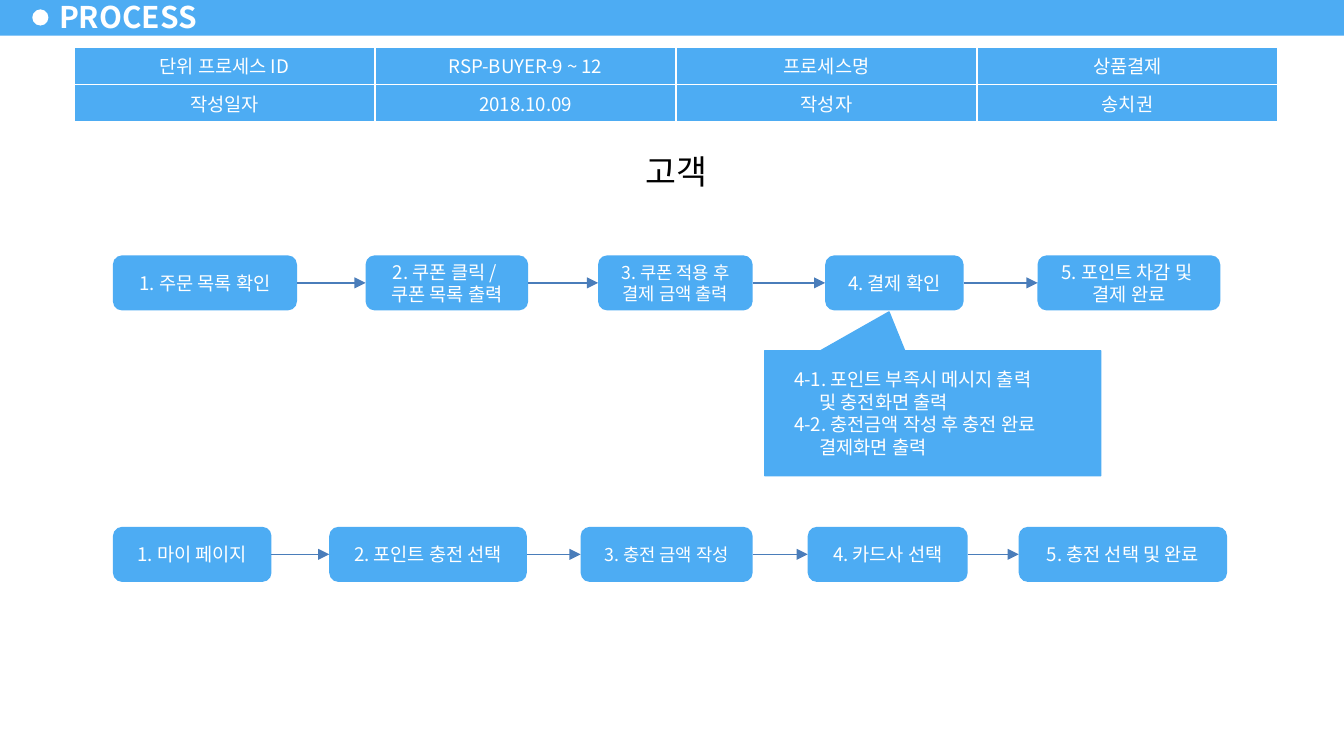
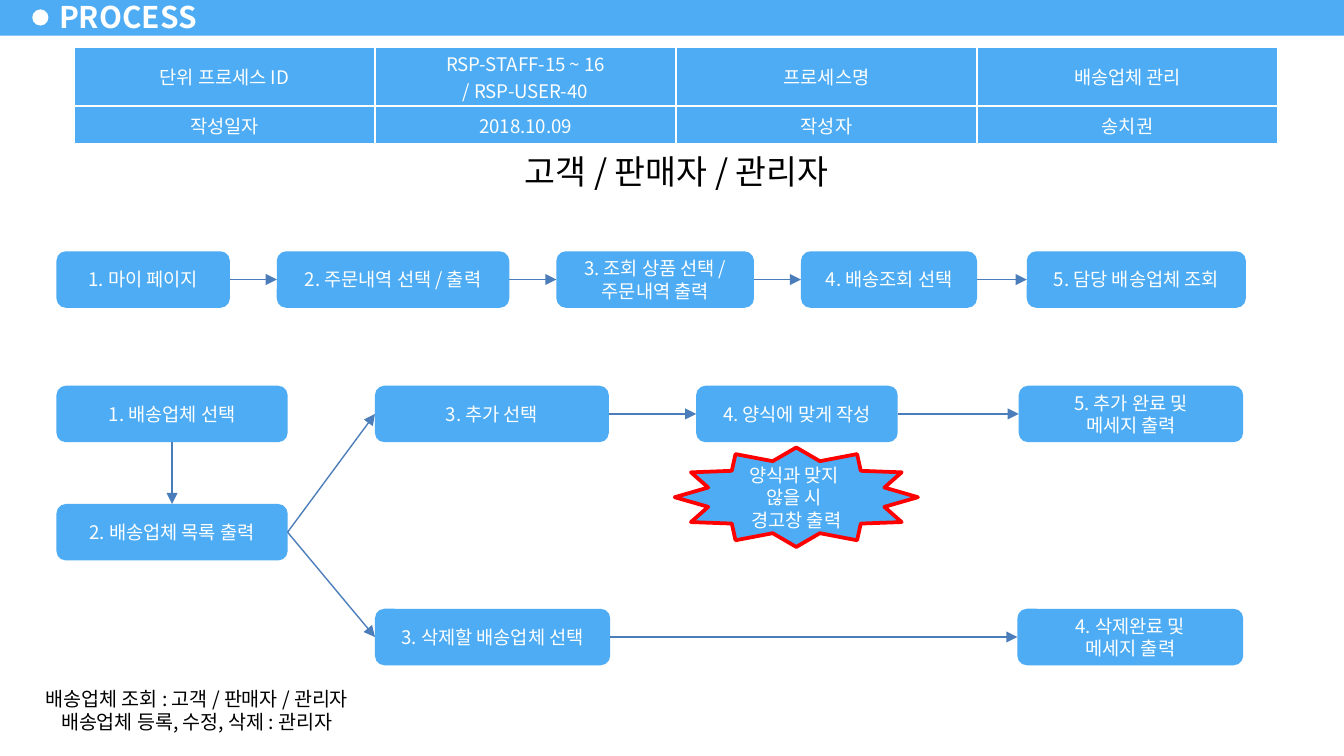
from lxml import etree
from pptx import Presentation
from pptx.dml.color import RGBColor
from pptx.enum.shapes import MSO_CONNECTOR, MSO_SHAPE
from pptx.enum.text import MSO_ANCHOR, MSO_AUTO_SIZE, PP_ALIGN
from pptx.oxml.ns import qn
from pptx.util import Inches, Pt

RECT, OVAL = MSO_SHAPE.RECTANGLE, MSO_SHAPE.OVAL
ROUND, STAR = MSO_SHAPE.ROUNDED_RECTANGLE, MSO_SHAPE.STAR_12_POINT
CALLOUT = MSO_SHAPE.RECTANGULAR_CALLOUT
STRAIGHT = MSO_CONNECTOR.STRAIGHT
TOP_ANCHOR, MIDDLE = MSO_ANCHOR.TOP, MSO_ANCHOR.MIDDLE
LEFT_ALIGN, CENTER = PP_ALIGN.LEFT, PP_ALIGN.CENTER
TOP, LEFT, BOTTOM, RIGHT = range(4)  # connection sites of a box

FONT = "Noto Sans CJK KR"
COLORS = {"blue": "4DACF3", "arrow": "4A7DBA", "white": "FFFFFF",
          "black": "000000", "alert": "FF0000"}
MARGINS = {"margin_left": 0.1, "margin_right": 0.1,
           "margin_top": 0.05, "margin_bottom": 0.05}
CELL_MARGINS = {**MARGINS, "margin_top": 0.02, "margin_bottom": 0.02}
TITLE_ONLY = 5

# A 16:9 slide with a square grid of 100 columns
WIDTH = Inches(10)
HEIGHT = WIDTH * 9 // 16
UNIT = WIDTH / 100


def rgb(name):
    return RGBColor.from_string(COLORS[name])


def grid(*cells):
    return [round(n * UNIT) for n in cells]


# Text
def set_font(r, size, color, bold=False):
    values = {"name": FONT, "size": Pt(size), "bold": bold}
    for name, value in values.items():
        setattr(r.font, name, value)
    r.font.color.rgb = rgb(color)
    ea = etree.SubElement(r.font._element, qn("a:ea"))
    ea.set("typeface", FONT)


def add_break(p, size):
    """Break the line at the size of its text."""
    p.add_line_break()
    r_pr = etree.SubElement(p._p[-1], qn("a:rPr"), sz=str(round(size * 100)))
    for tag in ("a:latin", "a:ea"):
        etree.SubElement(r_pr, qn(tag), typeface=FONT)


def write(tf, text, size=10, color="white", align=CENTER, indents=()):
    """Write paragraphs parted by \\n, with line breaks at \\v."""
    for i, line in enumerate(text.split("\n")):
        p = tf.paragraphs[0] if i == 0 else tf.add_paragraph()
        p.alignment = align
        if i in indents:
            p._p.get_or_add_pPr().set("indent", str(Inches(0.19)))
        for j, part in enumerate(line.split("\v")):
            if j:
                add_break(p, size)
            r = p.add_run()
            r.text = part
            set_font(r, size, color)


def set_margins(target, margins):
    for name, value in margins.items():
        setattr(target, name, Inches(value))


def set_frame(tf, anchor=MIDDLE):
    tf.word_wrap, tf.vertical_anchor = True, anchor
    set_margins(tf, MARGINS)


# Shapes
def add_shape(shapes, kind, at, fill="blue", line=None, width=0.75):
    sp = shapes.add_shape(kind, *grid(*at))
    sp.shadow.inherit = False
    sp.fill.solid()
    sp.fill.fore_color.rgb = rgb(fill)
    if line:
        sp.line.color.rgb = rgb(line)
        sp.line.width = Pt(width)
    else:
        sp.line.fill.background()
    return sp


def add_box(s, at, text, size=10):
    sp = add_shape(s.shapes, ROUND, at)
    set_frame(sp.text_frame)
    write(sp.text_frame, text, size)
    return sp


def add_label(s, at, text, size):
    sp = add_shape(s.shapes, RECT, at, "white")
    set_frame(sp.text_frame, TOP_ANCHOR)
    write(sp.text_frame, text, size, "black")


def link(s, start, end, out=RIGHT, into=LEFT):
    line = s.shapes.add_connector(STRAIGHT, 0, 0, 0, 0)
    line.begin_connect(start, out)
    line.end_connect(end, into)
    line.line.color.rgb = rgb("arrow")
    line.line.width = Pt(0.75)
    tail = etree.SubElement(line.line._get_or_add_ln(), qn("a:tailEnd"))
    tail.set("type", "triangle")
    etree.SubElement(line._element.spPr, qn("a:effectLst"))


def add_flow(s, row, height, steps):
    """Draw boxes (column, width, text, size) in a row, joined by arrows."""
    boxes = [add_box(s, (x, row, w, height), *text) for x, w, *text in steps]
    for start, end in zip(boxes, boxes[1:]):
        link(s, start, end)
    return boxes


def add_callout(s):
    group = s.shapes.add_group_shape()
    sp = add_shape(group.shapes, CALLOUT, (56.9, 26.1, 25, 9.3), line="blue")
    sp.adjustments[0], sp.adjustments[1] = -0.13, -0.81
    tb = group.shapes.add_textbox(*grid(58.1, 26.9, 23, 7.8))
    set_frame(tb.text_frame, TOP_ANCHOR)
    write(tb.text_frame, "4-1. 포인트 부족시 메시지 출력\n및 충전화면 출력\v"
          "4-2. 충전금액 작성 후 충전 완료\n결제화면 출력",
          align=LEFT_ALIGN, indents=(1, 2))


# Table
def set_borders(cell):
    tc_pr = cell._tc.get_or_add_tcPr()
    for i, side in enumerate(("a:lnL", "a:lnR", "a:lnT", "a:lnB")):
        ln = etree.Element(qn(side), w=str(Pt(1)))
        fill = etree.SubElement(ln, qn("a:solidFill"))
        etree.SubElement(fill, qn("a:srgbClr"), val=COLORS["white"])
        tc_pr.insert(i, ln)


def add_info_table(s, process_id, name, first_row=2.8):
    rows = [("단위 프로세스 ID", process_id, "프로세스명", name),
            ("작성일자", "2018.10.09", "작성자", "송치권")]
    heights = (first_row, 2.8)
    frame = s.shapes.add_table(2, 4, *grid(5.5, 3.5, 89.6, sum(heights)))
    for row, height, texts in zip(frame.table.rows, heights, rows):
        row.height = round(height * UNIT)
        for cell, text in zip(row.cells, texts):
            cell.fill.solid()
            cell.fill.fore_color.rgb = rgb("blue")
            cell.vertical_anchor = MIDDLE
            set_margins(cell, CELL_MARGINS)
            write(cell.text_frame, text)
            set_borders(cell)


# Shared header
def add_band(s):
    """Draw the header band and move it to the layout, behind its placeholders."""
    parent = s.slide_layout.placeholders[0].element.getparent()
    parts = [(RECT, (0, -0.2, 100, 2.85), "blue"),
             (OVAL, (2.4, 0.7, 1.2, 1.2), "white")]
    for i, part in enumerate(parts):
        el = add_shape(s.shapes, *part).element
        el.nvSpPr.cNvPr.id = 20 + i
        parent.insert(2 + i, el)


def add_slide(prs, heading):
    s = prs.slides.add_slide(prs.slide_layouts[TITLE_ONLY])
    title = s.shapes.title
    title.left, title.top, title.width, title.height = grid(3.5, -0.4, 12.2, 3.2)
    tf = title.text_frame
    set_frame(tf)
    tf.margin_left = tf.margin_right = Inches(0.09)
    tf.auto_size, tf.word_wrap = MSO_AUTO_SIZE.NONE, False
    p = tf.paragraphs[0]
    p.alignment = LEFT_ALIGN
    r = p.add_run()
    r.text = "PROCESS"
    set_font(r, 16, "white", bold=True)
    add_label(s, (32.5, 10.7, 35.7, 4.1), heading, 18)
    return s


# Slides
def payment_slide(prs):
    s = add_slide(prs, "고객")
    add_band(s)
    add_info_table(s, "RSP-BUYER-9 ~ 12", "상품결제")
    add_flow(s, 19, 4.1, [
        (8.4, 13.7, "1. 주문 목록 확인"),
        (27.2, 12.1, "2. 쿠폰 클릭 / \n쿠폰 목록 출력"),
        (44.5, 11.5, "3. 쿠폰 적용 후\n결제 금액 출력", 9.5),
        (61.4, 10.3, "4. 결제 확인"),
        (77.2, 13.6, "5. 포인트 차감 및 \n결제 완료")])
    add_callout(s)
    add_flow(s, 39.2, 4.1, [
        (8.4, 11.8, "1. 마이 페이지"),
        (24.5, 14.7, "2. 포인트 충전 선택"),
        (43.2, 12.8, "3. 충전 금액 작성", 9.5),
        (60.1, 11.9, "4. 카드사 선택"),
        (75.8, 15.5, "5. 충전 선택 및 완료")])


def delivery_slide(prs):
    s = add_slide(prs, "고객 / 판매자 / 관리자")
    add_info_table(s, "RSP-STAFF-15 ~ 16\n/ RSP-USER-40", "배송업체 관리", 4.4)
    height = 4.2
    add_flow(s, 18.7, height, [
        (4.2, 12.9, "1. 마이 페이지"),
        (20.6, 17.3, "2. 주문내역 선택 / 출력"),
        (41.4, 14.7, "3. 조회 상품 선택 /\v주문내역 출력"),
        (59.6, 13.1, "4. 배송조회 선택"),
        (76.4, 16.3, "5. 담당 배송업체 조회")])

    # Carrier list, branching into adding and deleting
    choose = add_box(s, (4.2, 28.7, 17.2, height), "1. 배송업체 선택")
    listing = add_box(s, (4.2, 37.5, 17.2, height), "2. 배송업체 목록 출력")
    add = add_flow(s, 28.7, height, [
        (27.9, 17.4, "3. 추가 선택"),
        (51.8, 15, "4. 양식에 맞게 작성"),
        (75.8, 16.7, "5. 추가 완료 및\n메세지 출력")])
    delete = add_flow(s, 45.3, height, [
        (27.9, 17.5, "3. 삭제할 배송업체 선택"),
        (75.7, 16.8, "4. 삭제완료 및\n메세지 출력")])
    link(s, choose, listing, BOTTOM, TOP)
    for branch in (add, delete):
        link(s, listing, branch[0])

    # Warning and roles
    star = add_shape(s.shapes, STAR, (50.2, 33.3, 18.1, 7.4), line="alert", width=2)
    set_frame(star.text_frame)
    write(star.text_frame, "양식과 맞지 \v않을 시 \v경고창 출력")
    add_label(s, (0.8, 50.6, 27.7, 4.5), "배송업체 조회 : 고객 / 판매자 / 관리자\v"
              "배송업체 등록, 수정, 삭제 : 관리자", 10.5)


def main():
    prs = Presentation()
    prs.slide_width, prs.slide_height = WIDTH, HEIGHT
    payment_slide(prs)
    delivery_slide(prs)
    prs.save("out.pptx")


if __name__ == "__main__":
    main()
